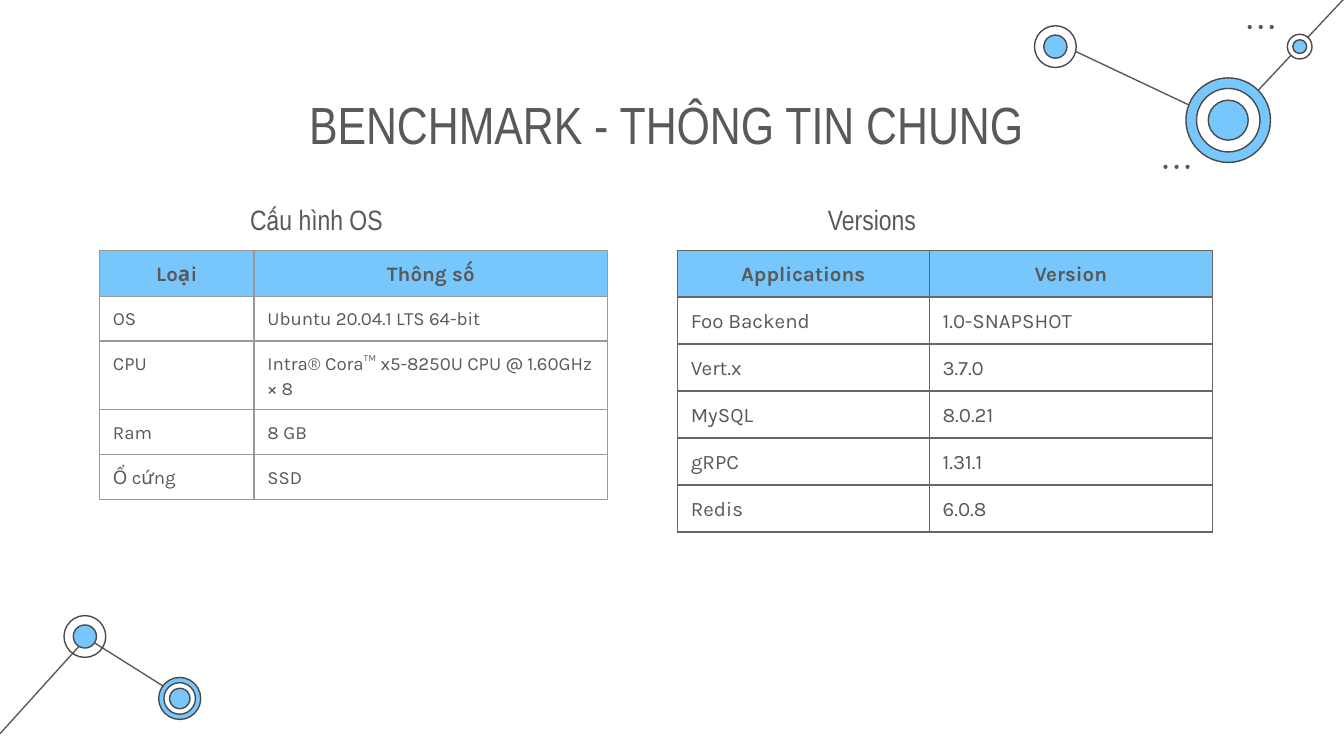
import pptx
import pptx.dml.color
import pptx.enum.shapes
import pptx.enum.text
import pptx.oxml
import pptx.oxml.ns
import pptx.util

Pt = pptx.util.Pt
RGBColor = pptx.dml.color.RGBColor
Align = pptx.enum.text.PP_ALIGN
Anchor = pptx.enum.text.MSO_ANCHOR

WHITE = RGBColor(0xFF, 0xFF, 0xFF)
BLUE = RGBColor(0x77, 0xC6, 0xFC)
GREY = RGBColor(0x59, 0x59, 0x59)
OUTLINE = RGBColor(0x49, 0x49, 0x49)
OS_BORDER = RGBColor(0x99, 0x99, 0x99)
VERSION_BORDER = RGBColor(0x66, 0x66, 0x66)

HEADING_FONT = "Arial Narrow"
TABLE_FONT = "Karla"
ROW_HEIGHT = 24

# Start and end of each network link.
LINKS = [
    ((46.8, 342), (99.4, 375.1)),
    ((0, 393.1), (46.8, 341.3)),
    ((658, 66.2), (566.6, 23)),
    ((720, -0.7), (658, 65.5)),
]
# Centre of each network node, then its rings from the outside in.
NODES = [
    ((45.5, 341), [(22.4, None), (12.4, BLUE)]),
    ((96.3, 374.2), [(22.5, BLUE), (16.9, WHITE), (10.9, BLUE)]),
    ((658, 64.4), [(45.3, BLUE), (34, WHITE), (21.4, BLUE)]),
    ((565.4, 25), [(22.4, WHITE), (12.4, BLUE)]),
    ((696.3, 25), [(13.2, WHITE), (7.4, BLUE)]),
]
# Centre of the first dot in each row of three.
DOT_ROWS = [(669.5, 14.5), (624.4, 89.4)]
DOT_GAP = 5.9
DOT_SIZE = 2.2

OS_ROWS = [
    ("Loại", "Thông số"),
    ("OS", "Ubuntu 20.04.1 LTS 64-bit"),
    ("CPU", "Intra® Cora™ x5-8250U CPU @ 1.60GHz × 8"),
    ("Ram", "8 GB"),
    ("Ổ cứng", "SSD"),
]
VERSION_ROWS = [
    ("Applications", "Version"),
    ("Foo Backend", "1.0-SNAPSHOT"),
    ("Vert.x", "3.7.0"),
    ("MySQL", "8.0.21"),
    ("gRPC", "1.31.1"),
    ("Redis", "6.0.8"),
]


def style_font(paragraph, name, size, bold=False):
    paragraph.font.name = name
    paragraph.font.size = Pt(size)
    paragraph.font.bold = bold
    paragraph.font.color.rgb = GREY


def add_link(slide, start, end):
    connector = slide.shapes.add_connector(
        pptx.enum.shapes.MSO_CONNECTOR.STRAIGHT,
        *(Pt(value) for value in start + end))
    connector.line.color.rgb = GREY
    connector.line.width = Pt(0.75)
    properties = connector._element.spPr
    properties.append(pptx.oxml.parse_xml(
        f"<a:effectLst {pptx.oxml.ns.nsdecls('a')}/>"))


def add_circle(slide, centre, diameter, fill, outline=None):
    left, top = (value - diameter / 2 for value in centre)
    circle = slide.shapes.add_shape(
        pptx.enum.shapes.MSO_SHAPE.OVAL,
        Pt(left), Pt(top), Pt(diameter), Pt(diameter))
    circle.shadow.inherit = False
    if fill is None:
        circle.fill.background()
    else:
        circle.fill.solid()
        circle.fill.fore_color.rgb = fill
    if outline is None:
        circle.line.fill.background()
    else:
        circle.line.color.rgb = outline
        circle.line.width = Pt(0.75)


def add_network(slide):
    for start, end in LINKS:
        add_link(slide, start, end)
    for centre, rings in NODES:
        for diameter, fill in rings:
            add_circle(slide, centre, diameter, fill, OUTLINE)
    for left, middle in DOT_ROWS:
        for index in range(3):
            add_circle(slide, (left + index * DOT_GAP, middle), DOT_SIZE, GREY)


def set_title(slide, text):
    title = slide.shapes.title
    title.left, title.top = Pt(57), Pt(42)
    title.width, title.height = Pt(606), Pt(45)
    frame = title.text_frame
    frame.text = text
    frame.auto_size = pptx.enum.text.MSO_AUTO_SIZE.NONE
    frame.vertical_anchor = Anchor.TOP
    frame.margin_left = frame.margin_right = Pt(7.2)
    frame.margin_top = frame.margin_bottom = Pt(7.2)
    frame.paragraphs[0].alignment = Align.CENTER
    style_font(frame.paragraphs[0], HEADING_FONT, 28)


def add_heading(slide, text, left, width):
    box = slide.shapes.add_textbox(Pt(left), Pt(104.4), Pt(width), Pt(22.3))
    frame = box.text_frame
    frame.word_wrap = True
    frame.vertical_anchor = Anchor.BOTTOM
    frame.margin_left = frame.margin_right = 0
    frame.margin_top = frame.margin_bottom = 0
    frame.text = text
    style_font(frame.paragraphs[0], HEADING_FONT, 15)


def set_borders(cell, color):
    properties = cell._tc.get_or_add_tcPr()
    for index, side in enumerate(("lnL", "lnR", "lnT", "lnB")):
        properties.insert(index, pptx.oxml.parse_xml(
            f'<a:{side} {pptx.oxml.ns.nsdecls("a")} w="{Pt(0.75)}">'
            f'<a:solidFill><a:srgbClr val="{color}"/></a:solidFill></a:{side}>'))


def format_cell(cell, text, is_header, size, border):
    cell.text = text
    cell.margin_left = cell.margin_right = Pt(7.2)
    cell.margin_top = cell.margin_bottom = Pt(5)
    if is_header:
        cell.fill.solid()
        cell.fill.fore_color.rgb = BLUE
    else:
        cell.fill.background()
    set_borders(cell, border)
    paragraph = cell.text_frame.paragraphs[0]
    paragraph.alignment = Align.CENTER if is_header else Align.LEFT
    paragraph.line_spacing = 1.15
    style_font(paragraph, TABLE_FONT, size, is_header)


def add_grid(slide, rows, left, widths, body_size, border):
    table = slide.shapes.add_table(
        len(rows), len(widths), Pt(left), Pt(134),
        Pt(sum(widths)), Pt(ROW_HEIGHT * len(rows))).table
    table.first_row = table.horz_banding = False
    for column, width in zip(table.columns, widths):
        column.width = Pt(width)
    for row_index, row in enumerate(rows):
        table.rows[row_index].height = Pt(ROW_HEIGHT)
        is_header = row_index == 0
        size = 11 if is_header else body_size
        for column_index, text in enumerate(row):
            cell = table.cell(row_index, column_index)
            format_cell(cell, text, is_header, size, border)


def main():
    presentation = pptx.Presentation()
    presentation.slide_width, presentation.slide_height = Pt(720), Pt(405)
    slide = presentation.slides.add_slide(presentation.slide_layouts[5])
    slide.background.fill.solid()
    slide.background.fill.fore_color.rgb = WHITE
    add_network(slide)
    set_title(slide, "BENCHMARK - THÔNG TIN CHUNG ")
    add_grid(slide, OS_ROWS, 53.3, (82.8, 189.4), 10, OS_BORDER)
    add_heading(slide, "Cấu hình OS", 134, 212.4)
    add_grid(slide, VERSION_ROWS, 362.9, (134.9, 151.9), 11, VERSION_BORDER)
    add_heading(slide, "Versions", 443.5, 82)
    presentation.save("out.pptx")


if __name__ == "__main__":
    main()
